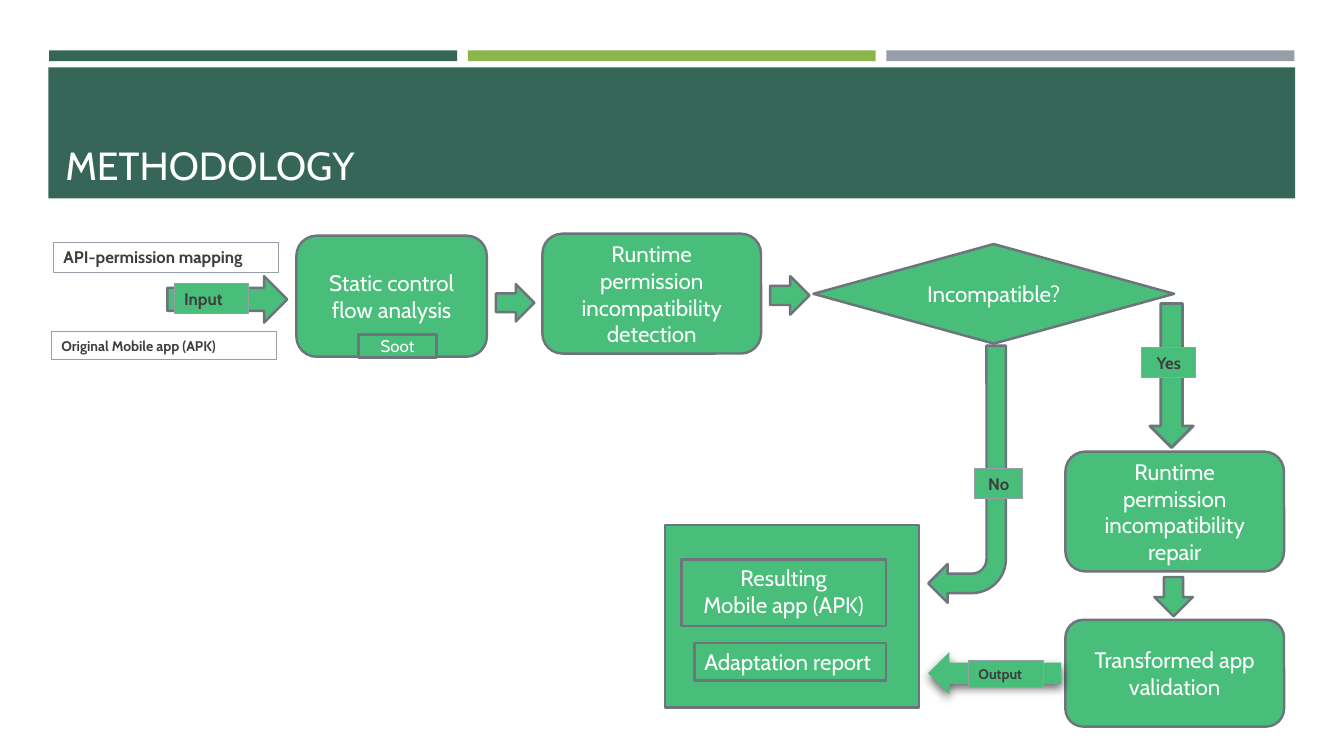
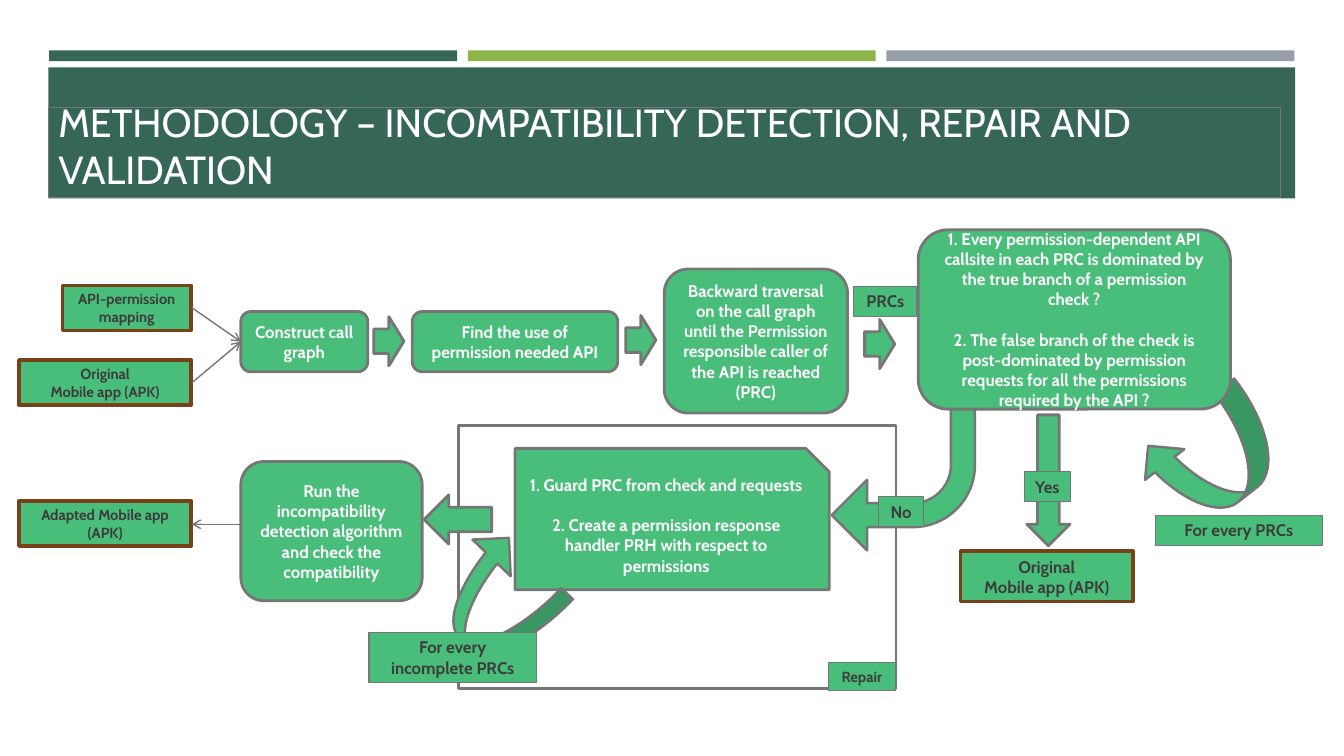
from functools import partial

from lxml.etree import SubElement
from pptx import Presentation
from pptx.dml.color import RGBColor
from pptx.enum.shapes import MSO_CONNECTOR, MSO_SHAPE as KIND
from pptx.enum.text import MSO_ANCHOR as ANCHOR, PP_ALIGN as ALIGN
from pptx.oxml.ns import qn
from pptx.util import Cm, Pt

PINE = RGBColor(0x36, 0x66, 0x58)
LIME = RGBColor(0x8C, 0xB6, 0x4A)
SILVER = RGBColor(0x96, 0x9F, 0xA7)
GREEN = RGBColor(0x48, 0xBE, 0x7A)
SLATE = RGBColor(0x6D, 0x74, 0x7A)
GRAY = RGBColor(0x76, 0x76, 0x76)
BROWN = RGBColor(0x79, 0x41, 0x17)
INK = RGBColor(0x3D, 0x3D, 0x3D)
WHITE = RGBColor(0xFF, 0xFF, 0xFF)
FONT = "Cabin"


def add_part(slide, kind, box, text="", fill=GREEN, line=SLATE, weight=1.75,
             size=16, bold=False, color=WHITE, align=ALIGN.CENTER,
             anchor=ANCHOR.MIDDLE, gap=0, wrap=True, turn=0, adjust=()):
    """Add a shape at box (cm); each line of text becomes a paragraph."""
    part = slide.shapes.add_shape(kind, *map(Cm, box))
    part.shadow.inherit = False
    part.rotation = turn
    for index, value in enumerate(adjust):
        part.adjustments[index] = value
    if fill is None:
        part.fill.background()
    else:
        part.fill.solid()
        part.fill.fore_color.rgb = fill
    if line is None:
        part.line.fill.background()
    else:
        part.line.color.rgb = line
        part.line.width = Pt(weight)
    if text:
        frame = part.text_frame
        frame.word_wrap = wrap
        frame.vertical_anchor = anchor
        for index, words in enumerate(text.split("\n")):
            paragraph = frame.add_paragraph() if index else frame.paragraphs[0]
            paragraph.alignment = align
            paragraph.space_before = Pt(gap if index else 0)
            run = paragraph.add_run()
            run.text = words
            run.font.name = FONT
            run.font.size = Pt(size)
            run.font.bold = bold
            run.font.color.rgb = color
    return part


def add_flow_line(slide, start, end):
    """Add a thin line with an open arrowhead from start to end (cm)."""
    flow = slide.shapes.add_connector(MSO_CONNECTOR.STRAIGHT, *map(Cm, start + end))
    flow.line.color.rgb = GRAY
    flow.line.width = Pt(1)
    SubElement(flow.line._get_or_add_ln(), qn("a:tailEnd"), type="arrow")
    SubElement(flow._element.spPr, qn("a:effectLst"))


deck = Presentation()
deck.slide_width, deck.slide_height = Cm(33.87), Cm(19.05)

# Shared bands and titles
titles = [
    ("METHODOLOGY", (1.4, 3.89, 25.32, 0.99), None),
    ("METHODOLOGY – INCOMPATIBILITY DETECTION, REPAIR AND VALIDATION",
     (1.22, 2.72, 31.04, 2.26), GRAY),
]
for title, box, outline in titles:
    slide = deck.slides.add_slide(deck.slide_layouts[6])
    for column, accent in enumerate((PINE, LIME, SILVER)):
        add_part(slide, KIND.RECTANGLE, (1.24 + 10.55 * column, 1.27, 10.28, 0.27),
                 fill=accent, line=None)
    add_part(slide, KIND.RECTANGLE, (1.22, 1.7, 31.42, 3.3), fill=PINE, line=None)
    add_part(slide, KIND.RECTANGLE, box, title, fill=None, line=outline, weight=0.75,
             size=28, align=ALIGN.LEFT, anchor=ANCHOR.BOTTOM)

overview, details = deck.slides

# Overview: the whole method
step = partial(add_part, overview, KIND.ROUNDED_RECTANGLE)
panel = partial(add_part, overview, KIND.RECTANGLE)
arrow = partial(add_part, overview, KIND.RIGHT_ARROW)
label = partial(panel, line=SILVER, weight=0.75, size=12, bold=True, color=INK)

step((7.47, 5.94, 4.8, 3.05), "Static control flow analysis")
panel((9.04, 8.43, 1.96, 0.58), "Soot", size=12)
arrow((4.22, 6.96, 3.02, 1.17))
label((1.35, 6.1, 5.66, 0.76), "API-permission mapping", fill=None, align=ALIGN.LEFT)
label((1.3, 8.36, 5.66, 0.69), "Original Mobile app (APK)", fill=None, size=10,
      align=ALIGN.LEFT)
step((13.67, 5.89, 5.51, 3.02), "Runtime permission\nincompatibility detection")
arrow((12.5, 7.16, 0.97, 0.94))
add_part(overview, KIND.FLOWCHART_DECISION, (20.5, 6.15, 9.09, 2.51), "Incompatible?")
arrow((19.41, 6.96, 0.99, 0.97))
step((26.85, 11.38, 5.51, 3.02), "Runtime permission\nincompatibility repair")
step((26.85, 15.62, 5.51, 2.69), "Transformed app validation")
panel((16.76, 13.23, 6.4, 4.6))
panel((17.5, 16.21, 4.83, 0.94), "Adaptation report", align=ALIGN.LEFT)
panel((17.17, 14.1, 5.16, 1.68), "Resulting\nMobile app (APK)", anchor=ANCHOR.TOP)
arrow((29.08, 14.55, 0.99, 0.97), turn=90)
add_part(overview, KIND.BENT_ARROW, (23.39, 8.71, 1.96, 6.48), turn=180)
label((24.56, 11.81, 1.22, 0.76), "No")

output_arrow = arrow((23.39, 16.43, 3.35, 1.07), line=None, turn=180)
effects = output_arrow._element.spPr.find(qn("a:effectLst"))
shadow = SubElement(effects, qn("a:outerShdw"), blurRad=str(Pt(7)), dist=str(Pt(3)),
                    dir=str(84 * 60000), rotWithShape="0")
shade = SubElement(shadow, qn("a:srgbClr"), val="000000")
SubElement(shade, qn("a:alpha"), val="60000")
label((24.41, 16.64, 1.88, 0.69), "Output", size=10, align=ALIGN.LEFT)

arrow((27.71, 8.92, 3.63, 1.09), weight=2, turn=90)
label((28.78, 8.76, 1.35, 0.76), "Yes")
label((4.39, 7.14, 1.88, 0.76), "Input", align=ALIGN.LEFT)

# Details: detection, repair and validation
stage = partial(add_part, details, line=GRAY, weight=2, size=12, bold=True)
step = partial(stage, KIND.ROUNDED_RECTANGLE)
arrow = partial(stage, KIND.RIGHT_ARROW)
loop_arrow = partial(add_part, details, KIND.CURVED_LEFT_ARROW, line=GRAY)
label = partial(add_part, details, KIND.RECTANGLE, line=GRAY, weight=0.75, size=12,
                bold=True, color=INK)
app = partial(label, line=BROWN, weight=2.5, size=10.5)

add_part(details, KIND.RECTANGLE, (11.56, 10.72, 11.02, 6.63), fill=None, line=GRAY)
step((6.07, 7.85, 3.2, 1.52), "Construct call graph")
step((10.39, 7.85, 5.18, 1.52), "Find the use of permission needed API")
app((1.57, 7.19, 3.25, 1.14), "API-permission\nmapping")
app((0.48, 9.07, 4.34, 1.14), "Original\nMobile app (APK)")
for input_height in (7.75, 9.65):
    add_flow_line(details, (4.83, input_height), (6.07, 8.61))
step((16.74, 6.78, 4.62, 3.63),
     "Backward traversal on the call graph until the Permission responsible "
     "caller of the API is reached (PRC)")
for left, top in ((9.42, 7.98), (15.77, 7.95), (21.79, 8.05)):
    arrow((left, top, 0.76, 1.24))
label((21.51, 7.21, 1.6, 0.76), "PRCs", wrap=False)
loop_arrow((29.29, 9.88, 2.51, 3.38), turn=52)
label((29.11, 12.98, 4.22, 0.76), "For every PRCs")
arrow((24.77, 11.56, 3.3, 1.09), turn=90)
add_part(details, KIND.BENT_ARROW, (20.96, 10.31, 3.61, 3.56), line=GRAY, turn=180,
         adjust=(0.17, 0.25, 0.25, 0.44))
label((22.15, 12.52, 1.12, 0.76), "No", wrap=False)
app((24.21, 13.89, 4.34, 1.27), "Original\nMobile app (APK)", size=12)
arrow((10.69, 12.47, 1.7, 1.24), turn=180)
app((0.48, 12.62, 4.34, 1.14), "Adapted Mobile app (APK)")
add_flow_line(details, (6.12, 13.21), (4.83, 13.21))
stage(KIND.SNIP_1_RECTANGLE, (12.98, 11.3, 7.92, 3.56),
      "1. Guard PRC from check and requests\n"
      "2. Create a permission response handler PRH with respect to permissions",
      gap=14.5)
loop_arrow((11.13, 13.61, 2.67, 2.9), turn=133.8, adjust=(0.15, 0.5, 0.25))
label((9.3, 15.93, 4.22, 1.27), "For every incomplete PRCs")
step((6.07, 11.63, 4.57, 3.51),
     "Run the incompatibility detection algorithm and check the compatibility")
label((20.88, 16.69, 1.68, 0.71), "Repair", size=10.5)
step((23.14, 5.79, 7.87, 4.52),
     "1. Every permission-dependent API callsite in each PRC is dominated by "
     "the true branch of a permission check ?\n"
     "2. The false branch of the check is post-dominated by permission requests "
     "for all the permissions required by the API ?", gap=14.5)
label((25.81, 11.89, 1.17, 0.76), "Yes", wrap=False)

deck.save("out.pptx")
